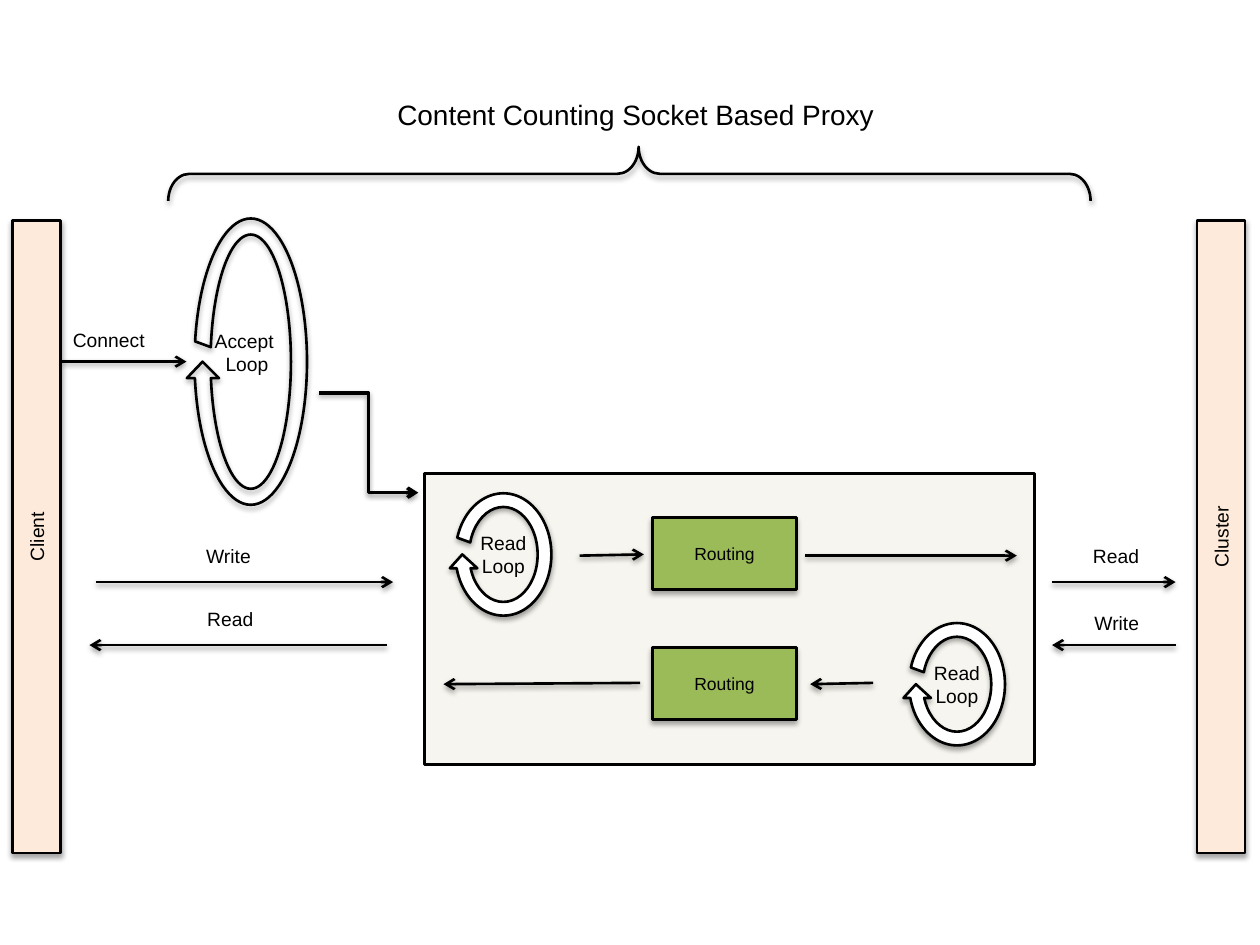
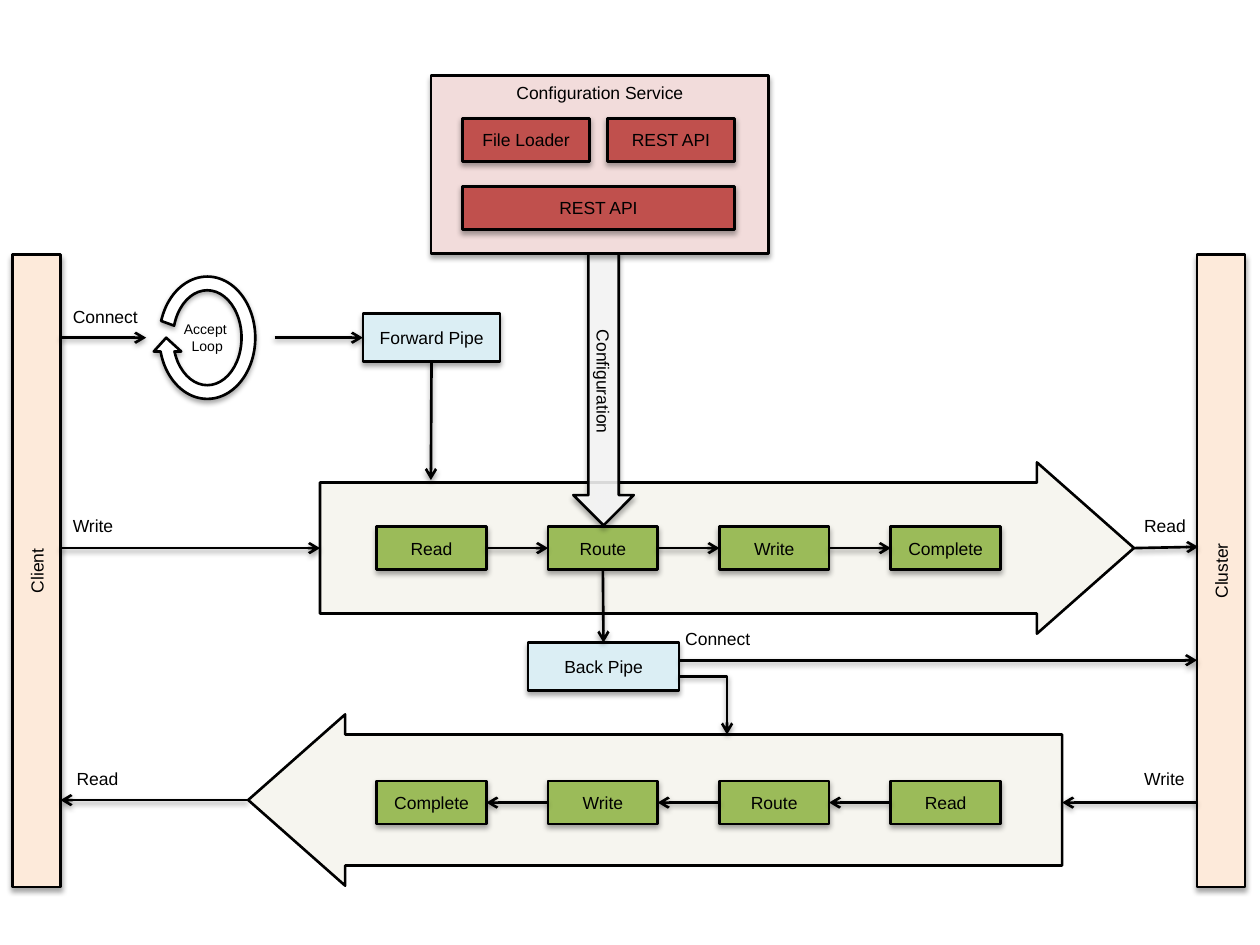
from lxml.etree import SubElement
from pptx import Presentation
from pptx.dml.color import RGBColor
from pptx.enum.shapes import MSO_CONNECTOR, MSO_SHAPE
from pptx.enum.text import MSO_ANCHOR, MSO_AUTO_SIZE, PP_ALIGN
from pptx.oxml.ns import qn
from pptx.util import Inches, Pt

BLACK = RGBColor(0x00, 0x00, 0x00)
WHITE = RGBColor(0xFF, 0xFF, 0xFF)
PEACH = RGBColor(0xFD, 0xEA, 0xDA)
CREAM = RGBColor(0xEE, 0xEC, 0xE1)
GREEN = RGBColor(0x9B, 0xBB, 0x59)
BLUE = RGBColor(0xDB, 0xEE, 0xF4)
PINK = RGBColor(0xF2, 0xDC, 0xDB)
RED = RGBColor(0xC0, 0x50, 0x4D)
FONT = "Arial"
WIDE, TALL = Inches(10), Inches(7.5)
COLS, ROWS = 100, 75
LEFT, MID, RIGHT = PP_ALIGN.LEFT, PP_ALIGN.CENTER, PP_ALIGN.RIGHT
TOP, LEFT_SIDE, BOTTOM, RIGHT_SIDE = range(4)
BAR_LONG, BAR_THICK = 50.2, 3.8
STEP_X, STEP_GAP, STEP_W, STEP_H = 29.9, 13.6, 8.7, 3.4


def col(n):
    return round(WIDE * n / COLS)


def row(n):
    return round(TALL * n / ROWS)


def place(spot):
    x, y, w, h = spot
    return col(x), row(y), col(w), row(h)


def write(shape, text, size, align=MID, anchor=MSO_ANCHOR.MIDDLE):
    frame = shape.text_frame
    frame.word_wrap = True
    frame.auto_size = MSO_AUTO_SIZE.NONE
    frame.vertical_anchor = anchor
    frame.text = text
    for para in frame.paragraphs:
        para.alignment = align
        for run in para.runs:
            run.font.name = FONT
            run.font.size = Pt(size)
            run.font.color.rgb = BLACK


def ink(shape, width=1.5):
    shape.line.color.rgb = BLACK
    shape.line.width = Pt(width)


def shade(shape, alpha, drop):
    props = shape._element.spPr
    effects = props.find(qn("a:effectLst"))
    if effects is None:
        effects = SubElement(props, qn("a:effectLst"))
    cast = SubElement(effects, qn("a:outerShdw"), blurRad=str(Pt(3.1)),
                      dist=str(Pt(drop)), dir="5400000", rotWithShape="0")
    tint = SubElement(cast, qn("a:srgbClr"), val=str(BLACK))
    SubElement(tint, qn("a:alpha"), val=str(alpha * 1000))


def paint(shape, fill, clear=None, shadow=True):
    ink(shape)
    shape.shadow.inherit = False
    if fill is None:
        shape.fill.background()
    else:
        shape.fill.solid()
        shape.fill.fore_color.rgb = fill
    if clear:
        tint = shape._element.spPr.find(qn("a:solidFill"))[0]
        SubElement(tint, qn("a:alpha"), val=str(clear * 1000))
    if shadow:
        shade(shape, 35, 1.8)


def block(page, spot, fill, text="", size=10, kind=MSO_SHAPE.RECTANGLE,
          turn=0, anchor=MSO_ANCHOR.MIDDLE, **look):
    shape = page.shapes.add_shape(kind, *place(spot))
    shape.rotation = turn
    paint(shape, fill, **look)
    if text:
        write(shape, text, size, anchor=anchor)
    return shape


def label(page, spot, text, size, align=LEFT):
    write(page.shapes.add_textbox(*place(spot)), text, size, align)


def arrow(page, start, end, tie=None, to=None, kind=MSO_CONNECTOR.STRAIGHT, width=1.5):
    line = page.shapes.add_connector(
        kind, col(start[0]), row(start[1]), col(end[0]), row(end[1]))
    if tie:
        line.begin_connect(*tie)
    if to:
        line.end_connect(*to)
    ink(line, width)
    SubElement(line.line._get_or_add_ln(), qn("a:tailEnd"), type="arrow")
    shade(line, 38, 1.6)
    return line


def loop(page, spot, text, size, fill=WHITE, shift=(0, 0)):
    ring = block(page, spot, fill, kind=MSO_SHAPE.CIRCULAR_ARROW, turn=180)
    for i, value in enumerate((0.125, 11.42, 204.58, 11.99, 0.125)):
        ring.adjustments[i] = value
    x, y, w, h = spot
    label(page, (x + w / 2 - 5.4 + shift[0], y + h / 2 - 2.35 + shift[1], 10.8, 4.7),
          text, size, MID)


def bars(page, mid, size):
    for x, name in ((2.9, "Client"), (96.9, "Cluster")):
        block(page, (x - BAR_LONG / 2, mid - BAR_THICK / 2, BAR_LONG, BAR_THICK),
              PEACH, name, size, turn=270)


def lane(page, tail, neck, tip, mid):
    points = [(tail, mid - 5.2), (neck, mid - 5.2), (neck, mid - 6.8), (tip, mid),
              (neck, mid + 6.8), (neck, mid + 5.2), (tail, mid + 5.2)]
    spots = [(col(x), row(y)) for x, y in points]
    path = page.shapes.build_freeform(*spots[0])
    path.add_line_segments(spots[1:], close=True)
    paint(path.convert_to_shape(), CREAM, clear=50, shadow=False)


def steps(page, names, y, back=False):
    boxes = [block(page, (STEP_X + STEP_GAP * i, y, STEP_W, STEP_H), GREEN, name)
             for i, name in enumerate(names)]
    chain = boxes[::-1] if back else boxes
    out, into = (LEFT_SIDE, RIGHT_SIDE) if back else (RIGHT_SIDE, LEFT_SIDE)
    for a, b in zip(chain, chain[1:]):
        arrow(page, (0, 0), (0, 0), (a, out), (b, into))
    return boxes


def proxy(page):
    title = page.shapes.title
    title.left, title.top, title.width, title.height = place((26.6, 7.2, 47.7, 3.7))
    write(title, "Content Counting Socket Based Proxy", 16, anchor=MSO_ANCHOR.TOP)
    brace = block(page, (47.8, -22.8, 4.3, 73.2), None, kind=MSO_SHAPE.LEFT_BRACE, turn=90)
    brace.adjustments[0], brace.adjustments[1] = 0.39, 0.49
    bars(page, 42.6, 11)
    block(page, (33.7, 37.6, 48.4, 23.1), CREAM, clear=50, shadow=False)
    label(page, (4.8, 25.3, 9.3, 3.4), "Connect", 11)
    arrow(page, (4.9, 28.7), (14.8, 28.7))
    loop(page, (14.8, 16.7, 10.2, 24), "Accept \nLoop", 11, None, (-0.3, -0.7))
    arrow(page, (25.3, 31.2), (33.2, 39.1), kind=MSO_CONNECTOR.ELBOW, width=2)

    for x, y, text in ((13.3, 42.4, "Write"), (13.5, 47.4, "Read"),
                       (83.8, 42.4, "Read"), (83.8, 47.7, "Write")):
        label(page, (x, y, 7.6, 3.4), text, 11, RIGHT)
    for near, far in (((7.6, 46.2), (31.2, 46.2)), ((30.7, 51.2), (7.1, 51.2)),
                      ((83.5, 46.2), (93.3, 46.2)), ((93.3, 51.2), (83.5, 51.2))):
        arrow(page, near, far)

    for y in (41.1, 51.4):
        block(page, (51.8, y, 11.4, 5.7), GREEN, "Routing")
    for x, y in ((35.6, 38.6), (71.6, 48.9)):
        loop(page, (x, y, 8.7, 10.8), "Read\nLoop", 11)
    for near, far in (((46, 44.1), (51.1, 44)), ((63.9, 44.1), (80.7, 44.1)),
                      ((69.3, 54.2), (64.3, 54.3)), ((50.8, 54.2), (35.2, 54.3))):
        arrow(page, near, far)


def setup(page):
    block(page, (34.2, 6, 26.8, 14.1), PINK, "Configuration Service", anchor=MSO_ANCHOR.TOP)
    for x, y, w, text in ((36.7, 9.4, 10.1, "File Loader"), (48.2, 9.4, 10.1, "REST API"),
                          (36.7, 14.8, 21.6, "REST API")):
        block(page, (x, y, w, 3.4), RED, text)


def pipes(page):
    lane(page, 25.4, 82.3, 90, 43.5)
    lane(page, 84.3, 27.4, 19.7, 63.5)
    ahead = block(page, (28.8, 24.9, 10.9, 3.8), BLUE, "Forward Pipe")
    behind = block(page, (41.9, 51, 12, 3.8), BLUE, "Back Pipe")
    route = steps(page, ("Read", "Route", "Write", "Complete"), 41.8)[1]
    steps(page, ("Complete", "Write", "Route", "Read"), 62, back=True)
    block(page, (37.1, 28.5, 21.6, 4.8), WHITE, "Configuration",
          kind=MSO_SHAPE.RIGHT_ARROW, turn=90, clear=85)
    setup(page)
    bars(page, 45.3, 10)
    loop(page, (12.1, 21.4, 8.7, 10.8), "Accept \nLoop", 8)

    arrow(page, (21.8, 26.8), (28.8, 26.8), to=(ahead, LEFT_SIDE))
    arrow(page, (34.2, 28.7), (34.2, 38.1), tie=(ahead, BOTTOM))
    arrow(page, (47.9, 45.2), (47.9, 51), (route, BOTTOM), (behind, TOP))
    bend = arrow(page, (53.9, 53.7), (57.7, 58.3), kind=MSO_CONNECTOR.ELBOW)
    bend._element.spPr.find(qn("a:prstGeom")).set("prst", "bentConnector2")

    for near, far in (((4.8, 26.8), (11.6, 26.8)), ((4.8, 43.5), (25.4, 43.5)),
                      ((19.7, 63.5), (4.8, 63.5)), ((54, 52.4), (95, 52.4)),
                      ((90, 43.5), (95.1, 43.4)), ((95, 63.7), (84.3, 63.7))):
        arrow(page, near, far)
    for x, y, text, align in (
            (4.8, 23.4, "Connect", LEFT), (4.8, 40, "Write", LEFT),
            (5.1, 60.1, "Read", LEFT), (53.4, 49, "Connect", LEFT),
            (87.5, 40, "Read", RIGHT), (87.4, 60.1, "Write", RIGHT)):
        label(page, (x, y, 7.6, 3.4), text, 10, align)


def main():
    deck = Presentation()
    deck.slide_width, deck.slide_height = WIDE, TALL
    proxy(deck.slides.add_slide(deck.slide_layouts[5]))
    pipes(deck.slides.add_slide(deck.slide_layouts[6]))
    deck.save("out.pptx")


if __name__ == "__main__":
    main()
